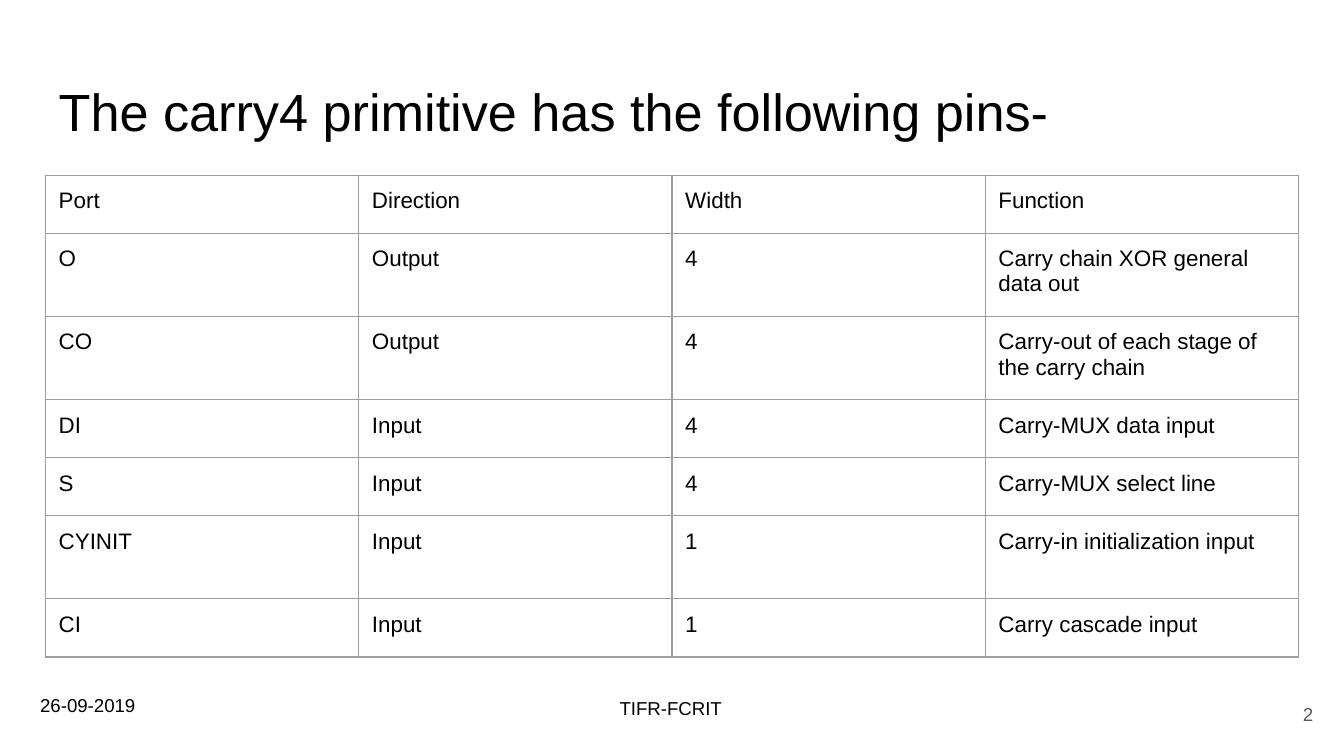
import dataclasses

import pptx
import pptx.dml.color
import pptx.enum.text
import pptx.oxml
import pptx.oxml.ns
import pptx.util

Cm = pptx.util.Cm
Pt = pptx.util.Pt
Align = pptx.enum.text.PP_ALIGN
Anchor = pptx.enum.text.MSO_ANCHOR


@dataclasses.dataclass(frozen=True)
class Theme:
    font: str = "Arial"
    ink: str = "000000"
    grey: str = "595959"
    line: str = "9E9E9E"
    title: float = 28
    body: float = 12
    small: float = 10
    rule: float = 0.75
    inset: float = 0.25


THEME = Theme()

PINS = [
    ("Port", "Direction", "Width", "Function"),
    ("O", "Output", "4", "Carry chain XOR general data out"),
    ("CO", "Output", "4", "Carry-out of each stage of the carry chain"),
    ("DI", "Input", "4", "Carry-MUX data input"),
    ("S", "Input", "4", "Carry-MUX select line"),
    ("CYINIT", "Input", "1", "Carry-in initialization input"),
    ("CI", "Input", "1", "Carry cascade input"),
]
LOW, TALL = 1.1, 1.57
ROWS = [LOW, TALL, TALL, LOW, LOW, TALL, LOW]
COL = 5.92


def write(frame, text, size=THEME.body, color=THEME.ink, align=Align.LEFT):
    frame.word_wrap = True
    para = frame.paragraphs[0]
    para.alignment = align
    run = para.add_run()
    run.text = text
    run.font.name = THEME.font
    run.font.size = Pt(size)
    run.font.color.rgb = pptx.dml.color.RGBColor.from_string(color)


def pad(item):
    """Set equal insets on a text frame or a table cell."""
    for side in ("left", "right", "top", "bottom"):
        setattr(item, f"margin_{side}", Cm(THEME.inset))


def label(slide, text, left, top, width, height, anchor=Anchor.TOP, **form):
    box = slide.shapes.add_textbox(Cm(left), Cm(top), Cm(width), Cm(height))
    frame = box.text_frame
    pad(frame)
    frame.vertical_anchor = anchor
    write(frame, text, **form)


def border(cell):
    props = cell._tc.get_or_add_tcPr()
    space = pptx.oxml.ns.nsdecls("a")
    for spot, side in enumerate("LRTB"):
        edge = pptx.oxml.parse_xml(
            f'<a:ln{side} {space} w="{Pt(THEME.rule)}"><a:solidFill>'
            f'<a:srgbClr val="{THEME.line}"/></a:solidFill></a:ln{side}>'
        )
        props.insert(spot, edge)


def grid(slide, data, left, top):
    wide = COL * len(data[0])
    shape = slide.shapes.add_table(
        len(data), len(data[0]), Cm(left), Cm(top), Cm(wide), Cm(sum(ROWS))
    )
    table = shape.table
    table.first_row = False
    table.horz_banding = False
    for col in table.columns:
        col.width = Cm(COL)
    for row, high, texts in zip(table.rows, ROWS, data):
        row.height = Cm(high)
        for cell, text in zip(row.cells, texts):
            pad(cell)
            cell.fill.background()
            border(cell)
            write(cell.text_frame, text)


def main():
    deck = pptx.Presentation()
    deck.slide_width, deck.slide_height = Cm(25.4), Cm(14.29)
    slide = deck.slides.add_slide(deck.slide_layouts[6])
    label(slide, "The carry4 primitive has the following pins-",
          0.86, 1.24, 23.67, 1.6, size=THEME.title)
    grid(slide, PINS, 0.86, 3.31)
    label(slide, "2", 23.55, 12.95, 1.52, 1.09, anchor=Anchor.MIDDLE,
          size=THEME.small, color=THEME.grey, align=Align.RIGHT)
    label(slide, "26-09-2019", 0.51, 12.9, 2.62, 0.89, size=THEME.small)
    label(slide, "TIFR-FCRIT", 11.46, 12.95, 2.49, 0.81, size=THEME.small)
    deck.save("out.pptx")


if __name__ == "__main__":
    main()
